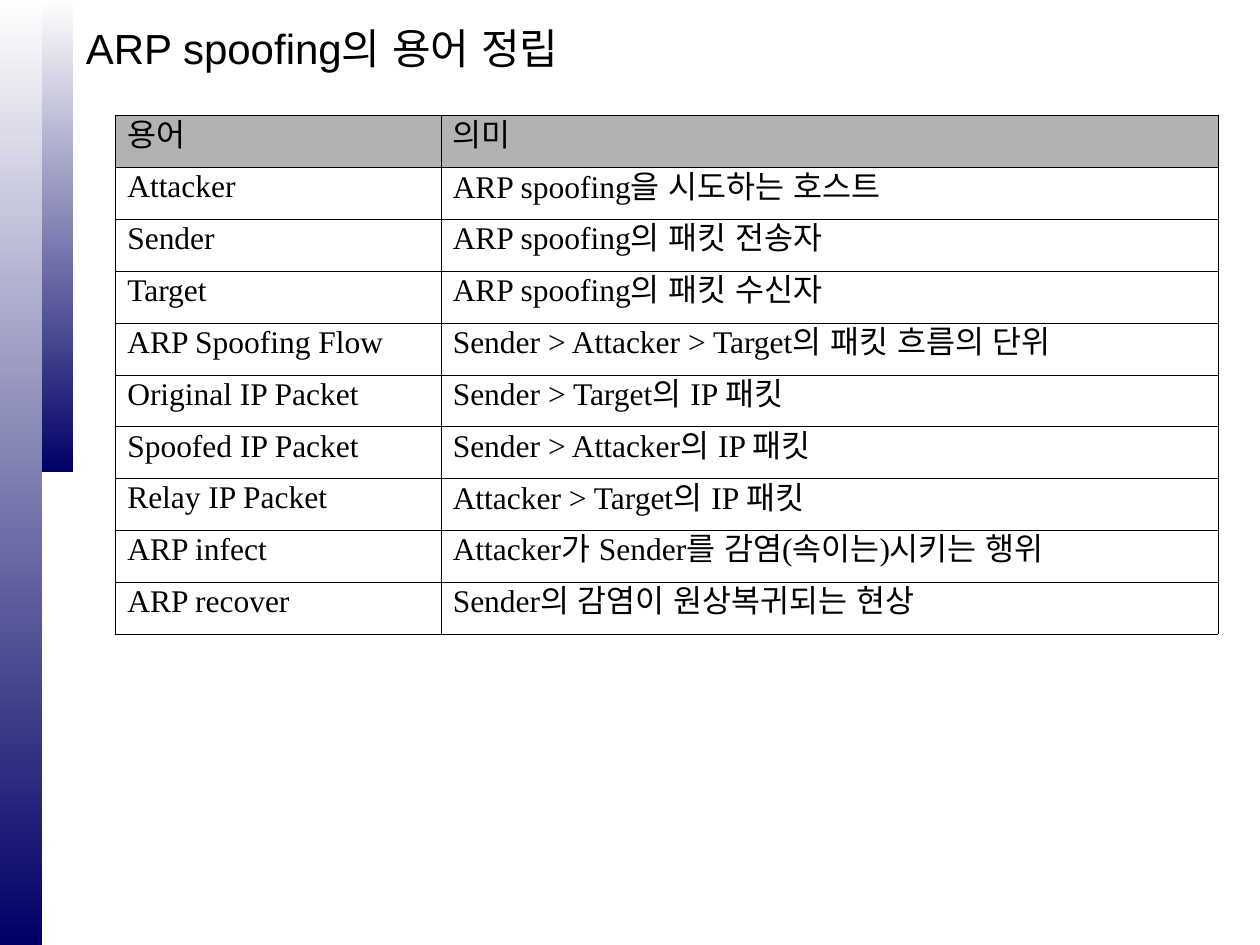
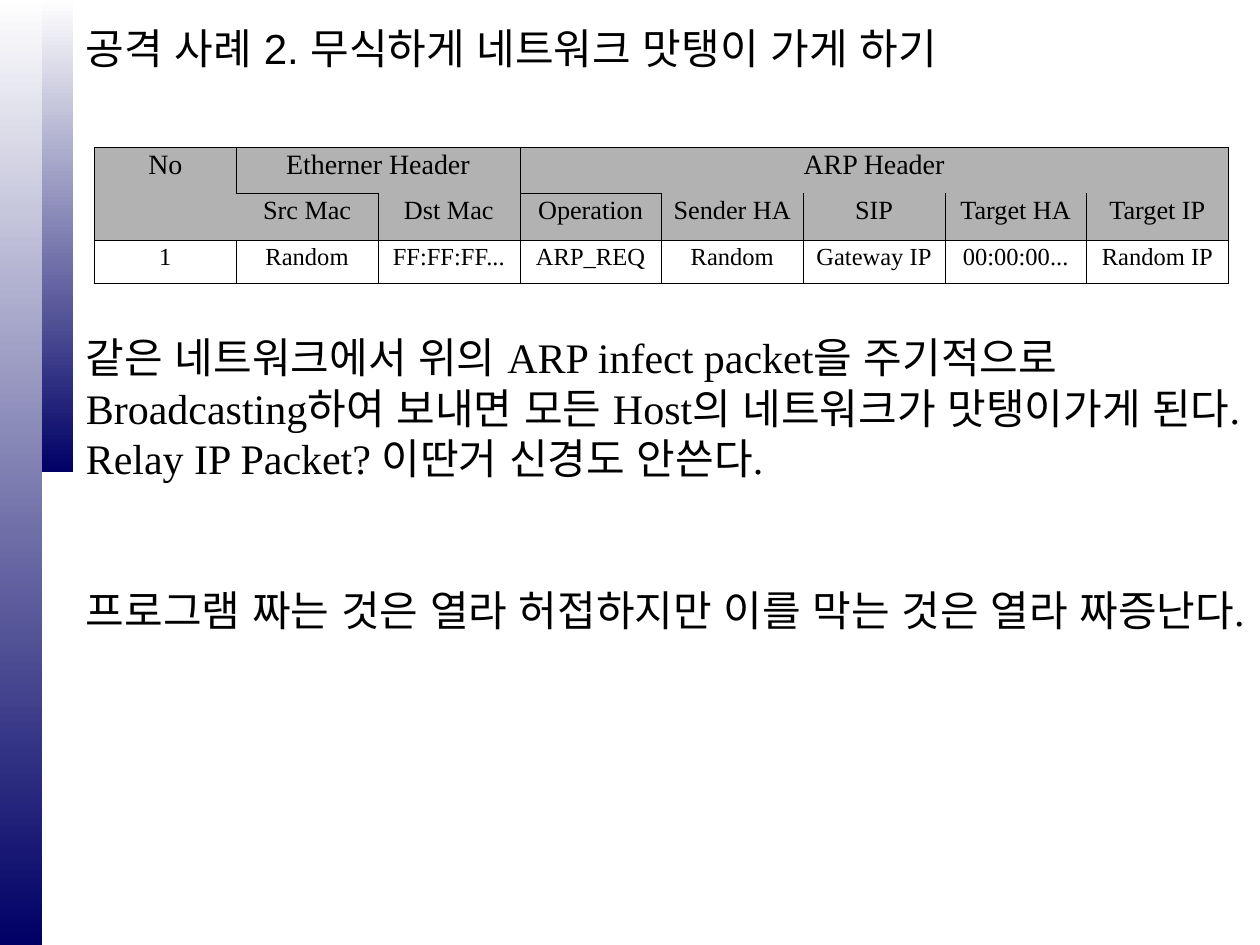
from dataclasses import dataclass

from lxml.etree import SubElement
from pptx import Presentation
from pptx.dml.color import RGBColor as RGB
from pptx.enum.shapes import MSO_SHAPE as Shape
from pptx.enum.text import MSO_ANCHOR as Anchor, MSO_AUTO_SIZE as Auto, PP_ALIGN as Align
from pptx.oxml.ns import qn
from pptx.util import Pt


@dataclass
class Theme:
    ink: RGB = RGB(0, 0, 0)
    pale: RGB = RGB(0xFE, 0xFE, 0xFE)
    navy: RGB = RGB(0, 0, 0x66)
    gray: RGB = RGB(0xB2, 0xB2, 0xB2)
    sans: str = "Arial"
    serif: str = "Times New Roman"
    big: int = 24
    term: int = 18
    heads: tuple = (16, 15, 14)
    tight: float = 0.86
    hair: int = 762  # EMU, 0.06 pt


look = Theme()
PX = 9525  # 96 px to the inch


def write(para, text, size, face, before=0):
    para.text = text
    para.font.size = Pt(size)
    para.font.name = face
    para.font.color.rgb = look.ink
    para.space_before = Pt(before)
    # Hangul spacing follows the sans face; periods stay inside the margin
    props = para._p.get_or_add_pPr()
    props.set("hangingPunct", "0")
    SubElement(props.find(qn("a:defRPr")), qn("a:ea"), typeface=look.sans)


def style(cell, sides, shaded, inset):
    cell.margin_left = cell.margin_right = inset * PX
    cell.margin_top = cell.margin_bottom = 5 * PX
    if shaded:
        cell.fill.solid()
        cell.fill.fore_color.rgb = look.gray
    else:
        cell.fill.background()
    props = cell._tc.get_or_add_tcPr()
    for spot, side in enumerate("LRTB"):
        line = SubElement(props, qn(f"a:ln{side}"), w=str(look.hair))
        props.insert(spot, line)
        if side in sides:
            paint = SubElement(line, qn("a:solidFill"))
            SubElement(paint, qn("a:srgbClr"), val=str(look.ink))
        else:
            SubElement(line, qn("a:noFill"))


deck = Presentation()
deck.slide_width, deck.slide_height = 960 * PX, 720 * PX

# Shared bands and titles
slides = []
for title in ("ARP spoofing의 용어 정립", "공격 사례 2. 무식하게 네트워크 맛탱이 가게 하기"):
    slide = deck.slides.add_slide(deck.slide_layouts[6])
    slides.append(slide)
    for left, wide, high in ((24, 32, 360), (0, 32, 720)):
        band = slide.shapes.add_shape(Shape.RECTANGLE, left * PX, 0, wide * PX, high * PX)
        band.shadow.inherit = False
        band.line.fill.background()
        band.fill.gradient()
        band.fill.gradient_angle = 270
        for stop, color in zip(band.fill.gradient_stops, (look.pale, look.navy)):
            stop.color.rgb = color
    box = slide.shapes.add_textbox(56 * PX, 12 * PX, 904 * PX, 48 * PX)
    box.text_frame.word_wrap = True
    box.text_frame.vertical_anchor = Anchor.MIDDLE
    write(box.text_frame.paragraphs[0], title, look.big, look.sans)

# Slide 1: table of terms
terms = (
    ("용어", "의미"),
    ("Attacker", "ARP spoofing을 시도하는 호스트"),
    ("Sender", "ARP spoofing의 패킷 전송자"),
    ("Target", "ARP spoofing의 패킷 수신자"),
    ("ARP Spoofing Flow", "Sender > Attacker > Target의 패킷 흐름의 단위"),
    ("Original IP Packet", "Sender > Target의 IP 패킷"),
    ("Spoofed IP Packet", "Sender > Attacker의 IP 패킷"),
    ("Relay IP Packet", "Attacker > Target의 IP 패킷"),
    ("ARP infect", "Attacker가 Sender를 감염(속이는)시키는 행위"),
    ("ARP recover", "Sender의 감염이 원상복귀되는 현상"),
)
table = slides[0].shapes.add_table(
    len(terms), 2, 88 * PX, 88 * PX, 840 * PX, 395 * PX).table
table.first_row = table.horz_banding = False
table.columns[0].width, table.columns[1].width = 248 * PX, 592 * PX
for row, pair in enumerate(terms):
    for col, text in enumerate(pair):
        cell = table.cell(row, col)
        style(cell, "LRTB", row == 0, 9)
        para = cell.text_frame.paragraphs[0]
        write(para, text, look.term, look.serif, 4.5)
        para.line_spacing = look.tight

# Slide 2: packet table, with the sides that are ruled in each cell
packet = (
    ("No", "Etherner Header", "", "ARP Header", "", "", "", ""),
    ("", "Src Mac", "Dst Mac", "Operation", "Sender HA", "SIP", "Target HA", "Target IP"),
    ("1", "Random", "FF:FF:FF...", "ARP_REQ", "Random", "Gateway IP", "00:00:00...", "Random IP"),
)
rules = (
    ("LTRB", "LTRB", "TR", "LTRB", "T", "T", "T", "TR"),
    ("LB", "TRB", "LRB", "LTRB") + ("LRB",) * 4,
    ("LRTB",) * 8,
)
table = slides[1].shapes.add_table(3, 8, 72 * PX, 112 * PX, 864 * PX, 104 * PX).table
table.first_row = table.horz_banding = False
for column in table.columns:
    column.width = 108 * PX
for row, high in enumerate((35, 36, 33)):
    table.rows[row].height = high * PX
    size = look.heads[row]
    for col, text in enumerate(packet[row]):
        cell = table.cell(row, col)
        style(cell, rules[row][col], row < 2, 2)
        if text:
            para = cell.text_frame.paragraphs[0]
            write(para, text, size, look.serif, size / 4)
            para.line_spacing = look.tight
            para.alignment = Align.CENTER
for first, last in (((0, 0), (1, 0)), ((0, 1), (0, 2)), ((0, 3), (0, 7))):
    table.cell(*first).merge(table.cell(*last))

# Slide 2: remarks
box = slides[1].shapes.add_textbox(56 * PX, 248 * PX, 904 * PX, 280 * PX)
frame = box.text_frame
frame.word_wrap = True
frame.auto_size = Auto.SHAPE_TO_FIT_TEXT
write(frame.paragraphs[0],
      "같은 네트워크에서 위의 ARP infect packet을 주기적으로 "
      "Broadcasting하여 보내면 모든 Host의 네트워크가 맛탱이가게 된다. "
      "Relay IP Packet? 이딴거 신경도 안쓴다.", look.big, look.serif, 15)
write(frame.add_paragraph(),
      "프로그램 짜는 것은 열라 허접하지만 이를 막는 것은 열라 짜증난다.",
      look.big, look.serif, 58)

deck.save("out.pptx")
